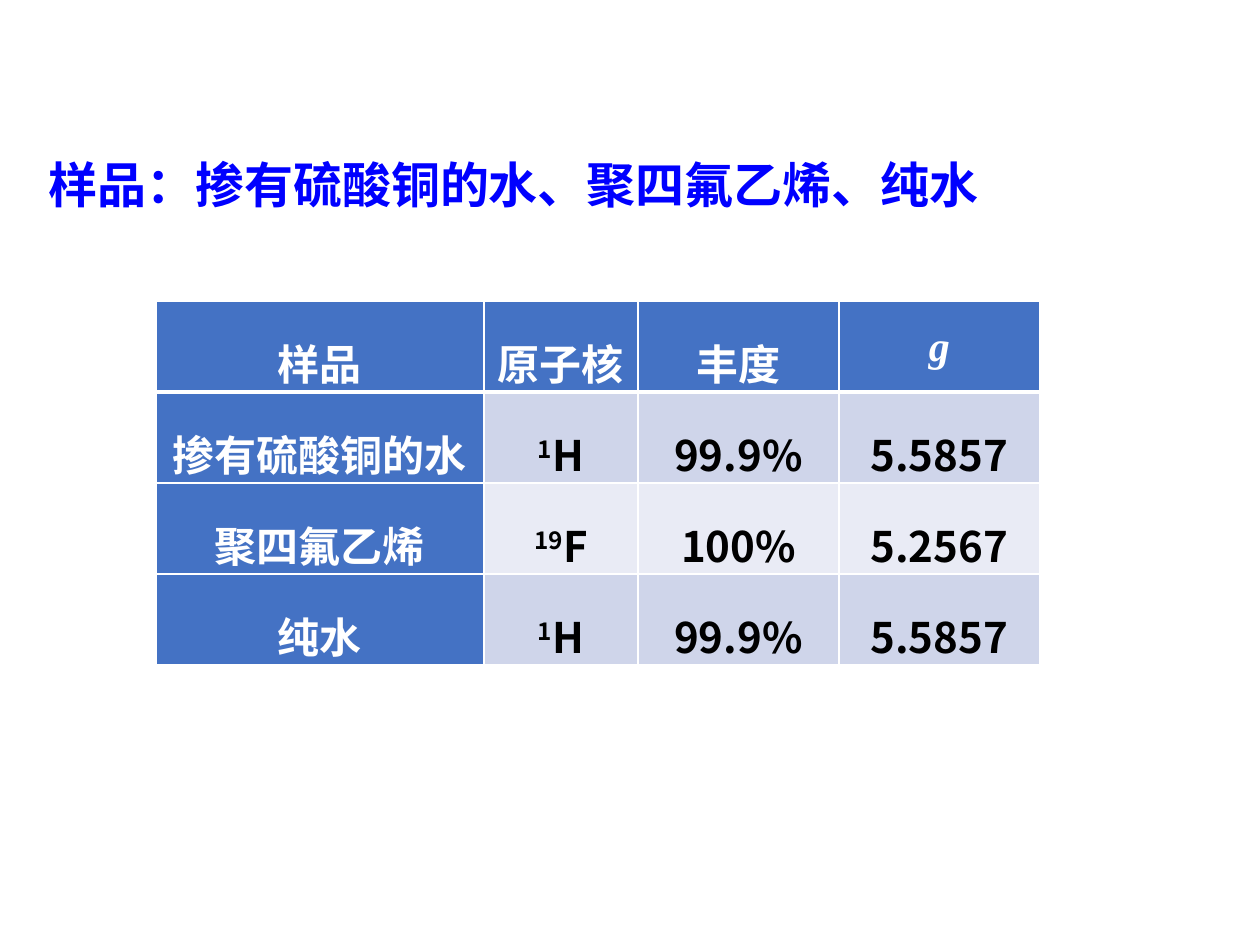
from dataclasses import dataclass

from lxml.etree import SubElement
from pptx import Presentation
from pptx.dml.color import RGBColor as Rgb
from pptx.enum.text import MSO_ANCHOR as Anchor, MSO_AUTO_SIZE as AutoSize, PP_ALIGN as Align
from pptx.oxml.ns import qn
from pptx.util import Pt

EMU_PER_PX = 914400 // 126


def px(length):
    return length * EMU_PER_PX


@dataclass(frozen=True)
class Theme:
    heading: str = "0000FF"
    header_fill: str = "4472C4"
    bands: tuple = ("CFD5EA", "E9EBF5")
    light: str = "FFFFFF"
    dark: str = "000000"
    heading_size: int = 28
    cell_size: int = 24
    font: str = "Noto Sans CJK SC"
    symbol_font: str = "Times New Roman"


class SlideBuilder:
    def __init__(self, slide, theme):
        self.slide = slide
        self.theme = theme

    def style(self, paragraph, size, color, name, italic=False):
        font = paragraph.font
        font.size, font.bold, font.italic = Pt(size), True, italic
        font.color.rgb = Rgb.from_string(color)
        font.name = name
        # East Asian glyphs take their own typeface element
        defaults = paragraph._p.pPr.find(qn("a:defRPr"))
        SubElement(defaults, qn("a:ea")).set("typeface", name)

    def heading(self, text, left, top, width, height):
        title = self.slide.shapes.title
        title.left, title.top, title.width, title.height = map(px, (left, top, width, height))
        frame = title.text_frame
        frame.text = text
        frame.word_wrap = True
        frame.auto_size = AutoSize.SHAPE_TO_FIT_TEXT
        frame.vertical_anchor = Anchor.TOP
        paragraph = frame.paragraphs[0]
        paragraph.alignment = Align.LEFT
        self.style(paragraph, self.theme.heading_size, self.theme.heading, self.theme.font)

    def borders(self, cell, bottom):
        properties = cell._tc.get_or_add_tcPr()
        for index, (side, width) in enumerate(
            (("lnL", 1), ("lnR", 1), ("lnT", 1), ("lnB", bottom))
        ):
            line = properties.makeelement(qn(f"a:{side}"), {"w": str(Pt(width))})
            fill = SubElement(line, qn("a:solidFill"))
            SubElement(fill, qn("a:srgbClr")).set("val", self.theme.light)
            properties.insert(index, line)

    def cell(self, cell, content, row, column):
        theme = self.theme
        is_label = row == 0 or column == 0
        cell.margin_left = cell.margin_right = px(9)
        cell.margin_top = cell.margin_bottom = 0
        cell.vertical_anchor = Anchor.TOP
        cell.fill.solid()
        fill = theme.header_fill if is_label else theme.bands[(row - 1) % 2]
        cell.fill.fore_color.rgb = Rgb.from_string(fill)
        self.borders(cell, bottom=3 if row == 0 else 1)

        paragraph = cell.text_frame.paragraphs[0]
        paragraph.alignment = Align.CENTER
        paragraph.line_spacing = 1.5
        # A pair holds a raised mass number and an element symbol
        if isinstance(content, tuple):
            mass, element = content
            raised = paragraph.add_run()
            raised.text = mass
            raised._r.get_or_add_rPr().set("baseline", "30000")
            paragraph.add_run().text = element
        else:
            paragraph.add_run().text = content
        is_symbol = content == "g"
        self.style(
            paragraph,
            theme.cell_size,
            theme.light if is_label else theme.dark,
            theme.symbol_font if is_symbol else theme.font,
            italic=is_symbol,
        )

    def table(self, rows, left, top, widths, row_height):
        table = self.slide.shapes.add_table(
            len(rows), len(widths), px(left), px(top),
            px(sum(widths)), px(row_height * len(rows)),
        ).table
        table.first_col = True
        for column, width in zip(table.columns, widths):
            column.width = px(width)
        for row, contents in enumerate(rows):
            table.rows[row].height = px(row_height)
            for column, content in enumerate(contents):
                self.cell(table.cell(row, column), content, row, column)


def main():
    presentation = Presentation()
    presentation.slide_width, presentation.slide_height = px(1260), px(945)
    title_only = presentation.slide_layouts[5]
    builder = SlideBuilder(presentation.slides.add_slide(title_only), Theme())

    # Heading
    builder.heading("样品：掺有硫酸铜的水、聚四氟乙烯、纯水", 36, 148, 983, 72)

    # Sample properties, in rows tall enough for the 1.5 line spacing
    samples = [
        ("样品", "原子核", "丰度", "g"),
        ("掺有硫酸铜的水", ("1", "H"), "99.9%", "5.5857"),
        ("聚四氟乙烯", ("19", "F"), "100%", "5.2567"),
        ("纯水", ("1", "H"), "99.9%", "5.5857"),
    ]
    builder.table(samples, 156, 301, widths=(328, 154, 201, 201), row_height=91)

    presentation.save("out.pptx")


if __name__ == "__main__":
    main()
